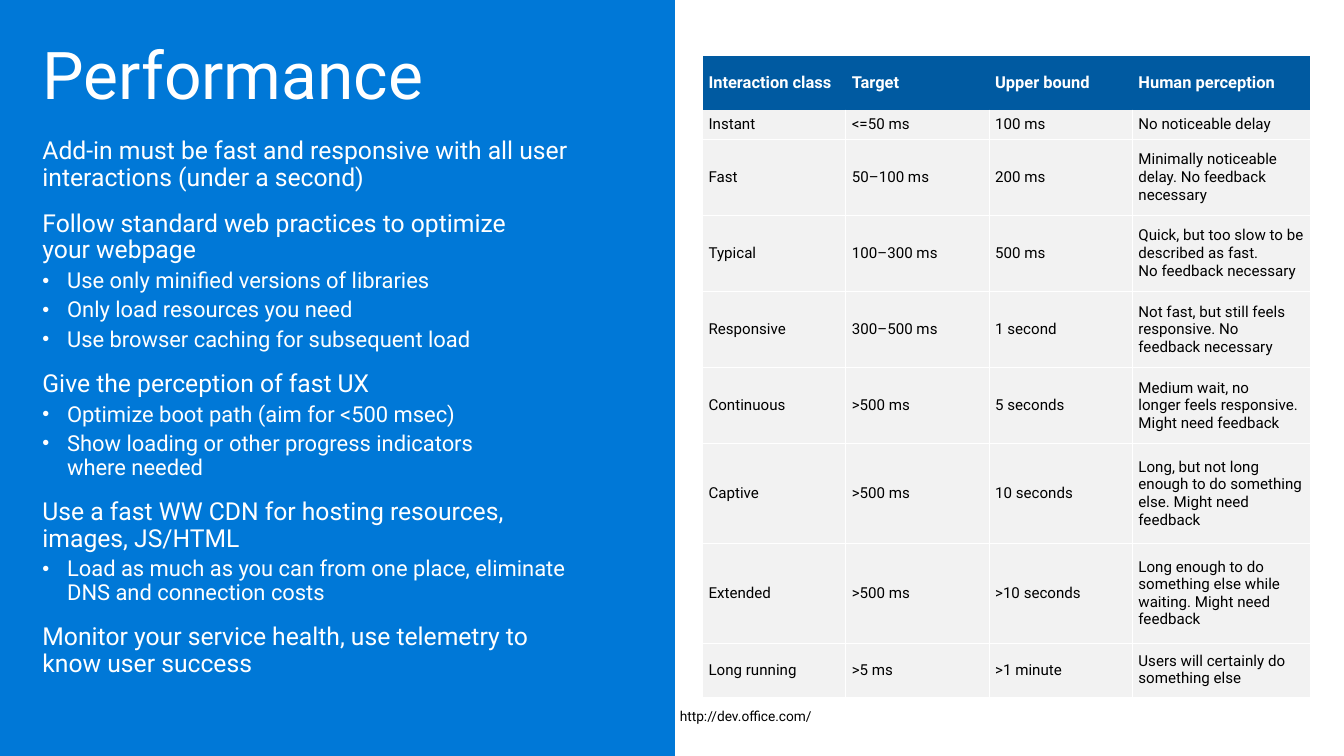
from copy import deepcopy
from dataclasses import dataclass

from pptx import Presentation
from pptx.dml.color import RGBColor
from pptx.enum.shapes import MSO_SHAPE
from pptx.enum.text import MSO_ANCHOR
from pptx.oxml.ns import qn
from pptx.oxml.xmlchemy import OxmlElement
from pptx.slide import Slide
from pptx.table import _Cell
from pptx.text.text import TextFrame, _Paragraph
from pptx.util import Inches, Pt

RECTANGLE = MSO_SHAPE.RECTANGLE
MIDDLE = MSO_ANCHOR.MIDDLE

WHITE = RGBColor(0xFF, 0xFF, 0xFF)
BLACK = RGBColor(0, 0, 0)
PANEL_BLUE = RGBColor(0x00, 0x78, 0xD7)
HEADER_BLUE = RGBColor(0x00, 0x5A, 0xA1)
ROW_GREY = RGBColor(0xF2, 0xF2, 0xF2)
FONT = "Roboto"


@dataclass(frozen=True)
class Level:
    size: int
    space_before: int
    bulleted: bool = False


@dataclass(frozen=True)
class Line:
    text: str
    level: Level


TITLE = Level(48, 0)
LEAD = Level(18, 18)
POINT = Level(18, 14)
DETAIL = Level(16, 4, bulleted=True)

ADVICE = [
    Line("Performance", TITLE),
    Line("Add-in must be fast and responsive with all user interactions (under a second)", LEAD),
    Line("Follow standard web practices to optimize \nyour webpage", POINT),
    Line("Use only minified versions of libraries", DETAIL),
    Line("Only load resources you need", DETAIL),
    Line("Use browser caching for subsequent load", DETAIL),
    Line("Give the perception of fast UX", POINT),
    Line("Optimize boot path (aim for <500 msec)", DETAIL),
    Line("Show loading or other progress indicators \nwhere needed", DETAIL),
    Line("Use a fast WW CDN for hosting resources, \nimages, JS/HTML", POINT),
    Line("Load as much as you can from one place, eliminate DNS and connection costs", DETAIL),
    Line("Monitor your service health, use telemetry to \nknow user success", POINT),
]

RESPONSE_TIMES = [
    ("Interaction class", "Target", "Upper bound", "Human perception"),
    ("Instant", "<=50 ms", "100 ms", "No noticeable delay"),
    ("Fast", "50–100 ms", "200 ms", "Minimally noticeable delay. No feedback necessary"),
    ("Typical", "100–300 ms", "500 ms",
     "Quick, but too slow to be described as fast. \nNo feedback necessary"),
    ("Responsive", "300–500 ms", "1 second",
     "Not fast, but still feels responsive. No \nfeedback necessary"),
    ("Continuous", ">500 ms", "5 seconds",
     "Medium wait, no \nlonger feels responsive. Might need feedback"),
    ("Captive", ">500 ms", "10 seconds",
     "Long, but not long enough to do something else. Might need feedback"),
    ("Extended", ">500 ms", ">10 seconds",
     "Long enough to do something else while waiting. Might need feedback"),
    ("Long running", ">5 ms", ">1 minute", "Users will certainly do something else"),
]
COLUMN_WIDTHS = [1.45, 1.45, 1.45, 1.8]
ROW_HEIGHTS = [0.54, 0.3, 0.77, 0.77, 0.77, 0.77, 1.01, 1.01, 0.54]


def write_text(para: _Paragraph, text: str, *, size: int, color: RGBColor,
               bold: bool = False) -> None:
    para.text = text
    for span in para.runs:
        span.font.name = FONT
        span.font.size = Pt(size)
        span.font.bold = bold
        span.font.color.rgb = color
    for line_break in para._p.findall(qn("a:br")):
        line_break.append(deepcopy(para.runs[0]._r.rPr))


def add_bullet(para: _Paragraph) -> None:
    properties = para._p.get_or_add_pPr()
    properties.set("marL", str(Inches(0.25)))
    properties.set("indent", str(-Inches(0.25)))
    for tag, name, value in (("a:buSzPct", "val", "90000"),
                             ("a:buFont", "typeface", "Arial"),
                             ("a:buChar", "char", "•")):
        element = OxmlElement(tag)
        element.set(name, value)
        properties.append(element)


def add_text_box(page: Slide, left: float, top: float, width: float, height: float,
                 *, wrap: bool) -> TextFrame:
    box = page.shapes.add_textbox(Inches(left), Inches(top), Inches(width), Inches(height))
    frame = box.text_frame
    frame.word_wrap = wrap
    frame.margin_left = frame.margin_right = Inches(0.16)
    frame.margin_top = frame.margin_bottom = Inches(0.1)
    return frame


def add_panel(page: Slide) -> None:
    panel = page.shapes.add_shape(RECTANGLE, 0, 0, Inches(6.83), Inches(7.65))
    panel.shadow.inherit = False
    panel.fill.solid()
    panel.fill.fore_color.rgb = PANEL_BLUE
    panel.line.fill.background()


def add_advice(page: Slide) -> None:
    frame = add_text_box(page, 0.27, 0.33, 6.03, 6.7, wrap=True)
    for index, line in enumerate(ADVICE):
        para = frame.add_paragraph() if index else frame.paragraphs[0]
        if line.level.bulleted:
            add_bullet(para)
        para.line_spacing = 0.9
        if index:
            para.space_before = Pt(line.level.space_before)
        write_text(para, line.text, size=line.level.size, color=WHITE)


def add_web_address(page: Slide) -> None:
    para = add_text_box(page, 6.72, 7.11, 1.66, 0.35, wrap=False).paragraphs[0]
    para.line_spacing = 0.9
    write_text(para, "http://dev.office.com/", size=10, color=BLACK)


def set_borders(cell: _Cell, visible: dict[str, bool]) -> None:
    properties = cell._tc.get_or_add_tcPr()
    for side, shown in visible.items():
        border = OxmlElement(f"a:ln{side}")
        border.set("w", str(Pt(1)))
        fill = OxmlElement("a:solidFill" if shown else "a:noFill")
        if shown:
            color = OxmlElement("a:srgbClr")
            color.set("val", str(WHITE))
            fill.append(color)
        border.append(fill)
        properties.append(border)


def add_response_times(page: Slide) -> None:
    row_count, column_count = len(ROW_HEIGHTS), len(COLUMN_WIDTHS)
    table = page.shapes.add_table(row_count, column_count, Inches(7.11), Inches(0.57),
                                  Inches(sum(COLUMN_WIDTHS)), Inches(sum(ROW_HEIGHTS))).table
    table.horz_banding = False
    for column, width in zip(table.columns, COLUMN_WIDTHS):
        column.width = Inches(width)
    for row, height in zip(table.rows, ROW_HEIGHTS):
        row.height = Inches(height)
    for row_index, texts in enumerate(RESPONSE_TIMES):
        header = row_index == 0
        for column_index, text in enumerate(texts):
            cell = table.cell(row_index, column_index)
            cell.vertical_anchor = MIDDLE
            cell.margin_left = cell.margin_right = Inches(0.06)
            cell.margin_top = cell.margin_bottom = Inches(0.03)
            set_borders(cell, {
                "L": not header and column_index > 0,
                "R": not header and column_index < column_count - 1,
                "T": row_index > 1,
                "B": not header and row_index < row_count - 1,
            })
            cell.fill.solid()
            cell.fill.fore_color.rgb = HEADER_BLUE if header else ROW_GREY
            write_text(cell.text_frame.paragraphs[0], text, size=12 if header else 11,
                       color=WHITE if header else BLACK, bold=header)


def main() -> None:
    deck = Presentation()
    deck.slide_width = Inches(13.6)
    deck.slide_height = Inches(7.65)
    page = deck.slides.add_slide(deck.slide_layouts[6])
    add_panel(page)
    add_web_address(page)
    add_advice(page)
    add_response_times(page)
    deck.save("out.pptx")


if __name__ == "__main__":
    main()
